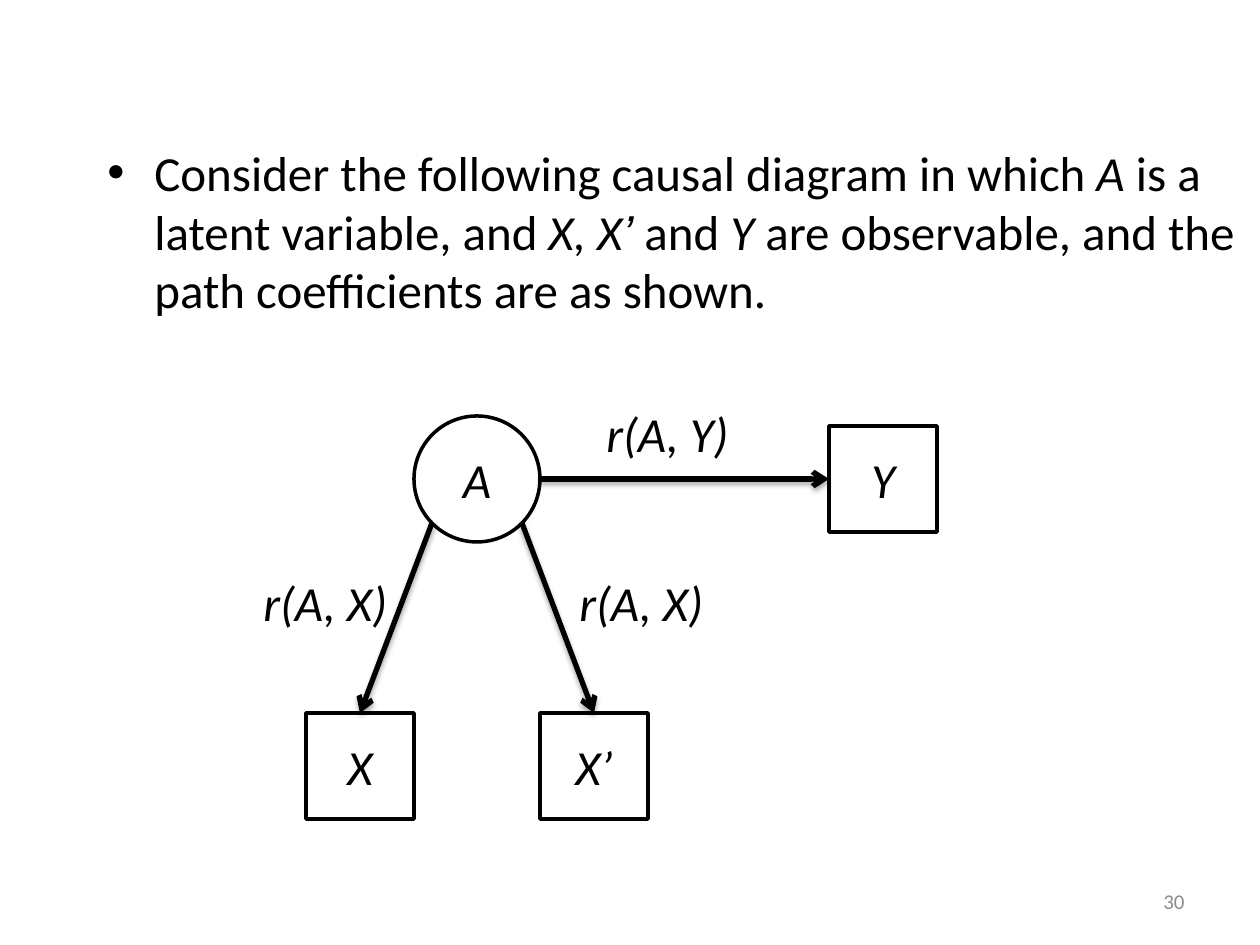
import pptx
import pptx.dml.color
import pptx.enum.shapes
import pptx.enum.text
import pptx.oxml
import pptx.oxml.ns
import pptx.util
from lxml import etree

PX = 914400 / 126
BLACK = pptx.dml.color.RGBColor(0x00, 0x00, 0x00)
WHITE = pptx.dml.color.RGBColor(0xFF, 0xFF, 0xFF)
GREY = pptx.dml.color.RGBColor(0x8C, 0x8C, 0x8C)
SHAPE = pptx.enum.shapes.MSO_SHAPE
ALIGN = pptx.enum.text.PP_ALIGN
MIDDLE = pptx.enum.text.MSO_ANCHOR.MIDDLE

SHADOW = (
    f'<a:effectLst {pptx.oxml.ns.nsdecls("a")}>'
    '<a:outerShdw blurRad="40000" dist="23000" dir="5400000" rotWithShape="0">'
    '<a:srgbClr val="000000"><a:alpha val="35000"/></a:srgbClr>'
    '</a:outerShdw></a:effectLst>'
)


def px(*lengths):
    """Turn pixel lengths into EMU."""
    return [pptx.util.Emu(round(length * PX)) for length in lengths]


def add_run(paragraph, text, italic=False, size=28, color=BLACK, font="Calibri"):
    run = paragraph.add_run()
    run.text = text
    run.font.name = font
    run.font.size = pptx.util.Pt(size)
    run.font.italic = italic
    run.font.color.rgb = color


prs = pptx.Presentation()
prs.slide_width, prs.slide_height = px(1260, 945)
slide = prs.slides.add_slide(prs.slide_layouts[6])

# Slide number
page_number = slide.shapes.add_textbox(*px(903, 876, 294, 50)).text_frame
page_number.word_wrap = True
page_number.vertical_anchor = MIDDLE
page_number.paragraphs[0].alignment = ALIGN.RIGHT
add_run(page_number.paragraphs[0], "30", size=12, color=GREY)

# Problem statement
statement = slide.shapes.add_textbox(*px(95, 136, 1165, 746)).text_frame
statement.word_wrap = True
bullet = statement.paragraphs[0]
bullet.space_before = pptx.util.Pt(5.6)
bullet_format = bullet._p.get_or_add_pPr()
indent = px(47)[0]
bullet_format.set("marL", str(indent))
bullet_format.set("indent", str(-indent))
etree.SubElement(bullet_format, pptx.oxml.ns.qn("a:buFont")).set("typeface", "Arial")
etree.SubElement(bullet_format, pptx.oxml.ns.qn("a:buChar")).set("char", "•")
for text, italic, font in [
    ("Consider the following causal diagram in which ", False, "Calibri"),
    ("A", True, "Calibri"),
    (" is a latent variable, and ", False, "Calibri"),
    ("X, X", True, "Calibri"),
    ("’", True, "Arial"),
    (" and ", False, "Calibri"),
    ("Y", True, "Calibri"),
    (" are observable, and the path coefficients are as shown.", False, "Calibri"),
]:
    add_run(bullet, text, italic, font=font)

# Causal diagram: the latent variable is round, observables are square
diagram = slide.shapes.add_group_shape().shapes
for variable, outline, left, top, width, height in [
    ("A", SHAPE.OVAL, 414, 416, 126, 126),
    ("Y", SHAPE.RECTANGLE, 829, 426, 108, 106),
    ("X", SHAPE.RECTANGLE, 306, 713, 108, 106),
    ("X’", SHAPE.RECTANGLE, 540, 713, 108, 106),
]:
    node = diagram.add_shape(outline, *px(left, top, width, height))
    node.shadow.inherit = False
    node.fill.solid()
    node.fill.fore_color.rgb = WHITE
    node.line.color.rgb = BLACK
    node.line.width = pptx.util.Pt(2)
    node.text_frame.vertical_anchor = MIDDLE
    node.text_frame.paragraphs[0].alignment = ALIGN.CENTER
    add_run(node.text_frame.paragraphs[0], variable, italic=True)

for ends in [(540, 479, 829, 479), (522, 523, 594, 713), (432, 523, 360, 713)]:
    path_arrow = diagram.add_connector(
        pptx.enum.shapes.MSO_CONNECTOR.STRAIGHT, *px(*ends))
    path_arrow.line.color.rgb = BLACK
    path_arrow.line.width = pptx.util.Pt(3)
    arrowhead = etree.SubElement(
        path_arrow.line._get_or_add_ln(), pptx.oxml.ns.qn("a:tailEnd"))
    arrowhead.set("type", "arrow")
    path_arrow._element.spPr.append(pptx.oxml.parse_xml(SHADOW))

for coefficient, left, top in [
    ("r(A, Y)", 594, 397),
    ("r(A, X)", 251, 566),
    ("r(A, X)", 567, 566),
]:
    label = diagram.add_textbox(*px(left, top, 162, 72)).text_frame
    label.word_wrap = False
    label.auto_size = pptx.enum.text.MSO_AUTO_SIZE.SHAPE_TO_FIT_TEXT
    add_run(label.paragraphs[0], coefficient, italic=True)

prs.save("out.pptx")
